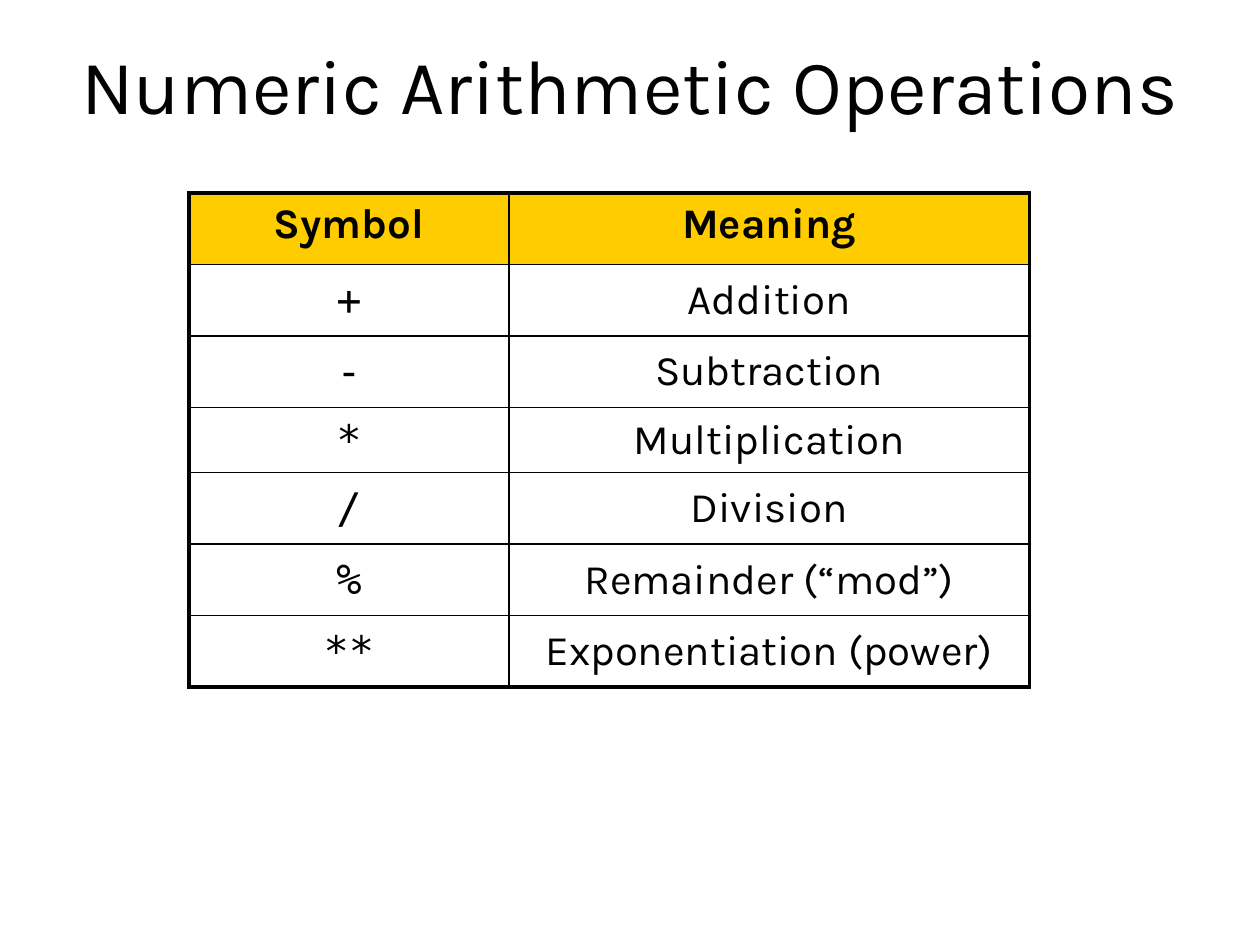
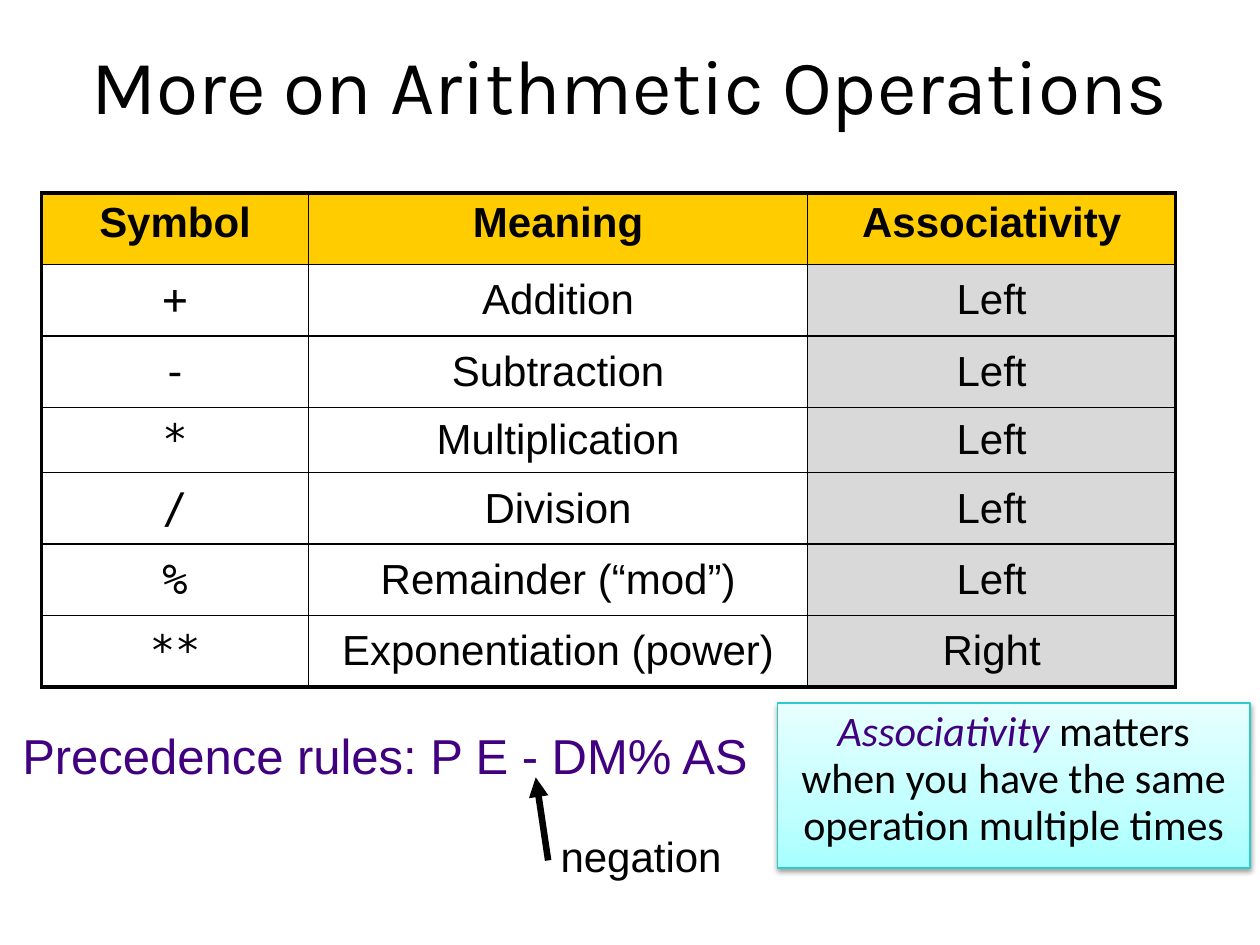
from pptx import Presentation
from pptx.dml.color import RGBColor
from pptx.enum import shapes, text
from pptx.oxml import ns
from pptx.util import Cm, Pt
from lxml import etree

INK = "020202"
PURPLE = "400080"
HEADER_FILL = "FFCC00"
SHADED_FILL = "D9D9D9"
CALLOUT_LINE = "2ECBCB"
CALLOUT_STOPS = [(0, "A7FFFF"), (35, "C1FFFF"), (100, "E7FFFF")]
SYMBOL_FONT = "DejaVu Sans Mono"
TABLE_TOP = 3.89
ROW_HEIGHTS = [1.44, 1.44, 1.44, 1.32, 1.44, 1.44, 1.44]
OUTER_BORDER, INNER_BORDER = 2.25, 1

OPERATIONS = [
    ("Symbol", "Meaning", "Associativity"),
    ("+", "Addition", "Left"),
    ("-", "Subtraction", "Left"),
    ("*", "Multiplication", "Left"),
    ("/", "Division", "Left"),
    ("%", "Remainder (“mod”)", "Left"),
    ("**", "Exponentiation (power)", "Right"),
]


def rgb(color):
    return RGBColor.from_string(color)


def add_element(parent, tag, **attributes):
    element = etree.SubElement(parent, ns.qn(tag))
    for name, value in attributes.items():
        element.set(name, str(value))
    return element


def style_run(run, font_name, size, color=INK, bold=False, italic=False):
    run.font.name = font_name
    run.font.size = Pt(size)
    run.font.color.rgb = rgb(color)
    run.font.bold = bold
    run.font.italic = italic


def add_titled_slide(presentation, title):
    slide = presentation.slides.add_slide(presentation.slide_layouts[5])
    shape = slide.shapes.title
    shape.left, shape.top, shape.width, shape.height = Cm(0.64), Cm(0.2), Cm(24.13), Cm(2.95)
    shape.text_frame.text = title
    shape.text_frame.vertical_anchor = text.MSO_ANCHOR.MIDDLE
    paragraph = shape.text_frame.paragraphs[0]
    paragraph.alignment = text.PP_ALIGN.CENTER
    paragraph.line_spacing = 1.02
    style_run(paragraph.runs[0], "Karla", 44)
    return slide


def set_borders(cell, widths):
    properties = cell._tc.get_or_add_tcPr()
    for side, width in zip("LRTB", widths):
        line = add_element(properties, f"a:ln{side}", w=Pt(width))
        add_element(add_element(line, "a:solidFill"), "a:srgbClr", val=INK)


def border_width(is_outer):
    return OUTER_BORDER if is_outer else INNER_BORDER


def add_operations_table(slide, left, column_widths, font_name, line_spacing):
    row_count, column_count = len(OPERATIONS), len(column_widths)
    table = slide.shapes.add_table(
        row_count, column_count, Cm(left), Cm(TABLE_TOP),
        Cm(sum(column_widths)), Cm(sum(ROW_HEIGHTS))).table
    table.first_row = table.horz_banding = False
    for column, width in zip(table.columns, column_widths):
        column.width = Cm(width)
    for row_index, (row, height) in enumerate(zip(table.rows, ROW_HEIGHTS)):
        row.height = Cm(height)
        is_header = row_index == 0
        for column_index, cell in enumerate(row.cells):
            set_borders(cell, [border_width(is_outer) for is_outer in (
                column_index == 0, column_index == column_count - 1,
                is_header, row_index == row_count - 1)])
            fill = HEADER_FILL if is_header else SHADED_FILL if column_index == 2 else None
            if fill:
                cell.fill.solid()
                cell.fill.fore_color.rgb = rgb(fill)
            else:
                cell.fill.background()
            cell.vertical_anchor = text.MSO_ANCHOR.TOP if is_header else text.MSO_ANCHOR.MIDDLE
            cell.text_frame.text = OPERATIONS[row_index][column_index]
            paragraph = cell.text_frame.paragraphs[0]
            paragraph.alignment = text.PP_ALIGN.CENTER
            paragraph.line_spacing = line_spacing
            is_symbol = column_index == 0 and not is_header
            style_run(paragraph.runs[0], SYMBOL_FONT if is_symbol else font_name, 24, bold=is_header)


def add_label(slide, wording, left, top, width, height, size, color):
    label = slide.shapes.add_textbox(Cm(left), Cm(top), Cm(width), Cm(height))
    label.text_frame.text = wording
    label.text_frame.word_wrap = False
    label.text_frame.auto_size = text.MSO_AUTO_SIZE.SHAPE_TO_FIT_TEXT
    paragraph = label.text_frame.paragraphs[0]
    paragraph.line_spacing = 0.93
    style_run(paragraph.runs[0], "Arial", size, color)
    return label


def add_arrow_from(slide, label, end_x, end_y):
    arrow = slide.shapes.add_connector(
        shapes.MSO_CONNECTOR.STRAIGHT, label.left, label.top, Cm(end_x), Cm(end_y))
    arrow.begin_connect(label, 1)
    arrow.line.color.rgb = rgb(INK)
    arrow.line.width = Pt(3.75)
    add_element(arrow.line._get_or_add_ln(), "a:tailEnd", type="triangle")
    add_element(arrow._element.spPr, "a:effectLst")


def set_gradient(shape, stops, angle):
    shape.fill.gradient()
    shape.fill.gradient_angle = angle
    stop_list = shape._element.spPr.find(ns.qn("a:gradFill")).find(ns.qn("a:gsLst"))
    for stop in list(stop_list):
        stop_list.remove(stop)
    for position, color in stops:
        stop = add_element(stop_list, "a:gs", pos=position * 1000)
        add_element(stop, "a:srgbClr", val=color)


def set_shadow(shape):
    shape.shadow.inherit = False
    effects = shape._element.spPr.find(ns.qn("a:effectLst"))
    shadow = add_element(effects, "a:outerShdw", blurRad=Pt(3.1), dist=Pt(1.6),
                         dir=90 * 60000, rotWithShape=0)
    add_element(add_element(shadow, "a:srgbClr", val="000000"), "a:alpha", val=38000)


def add_callout(slide, term, explanation):
    callout = slide.shapes.add_shape(
        shapes.MSO_SHAPE.RECTANGLE, Cm(15.67), Cm(14.17), Cm(9.53), Cm(3.33))
    set_gradient(callout, CALLOUT_STOPS, 90)
    callout.line.color.rgb = rgb(CALLOUT_LINE)
    callout.line.width = Pt(0.75)
    set_shadow(callout)
    frame = callout.text_frame
    frame.word_wrap = True
    frame.vertical_anchor = text.MSO_ANCHOR.TOP
    paragraph = frame.paragraphs[0]
    paragraph.alignment = text.PP_ALIGN.CENTER
    paragraph.line_spacing = 0.93
    for wording, color, italic in ((term, PURPLE, True), (explanation, INK, False)):
        run = paragraph.add_run()
        run.text = wording
        style_run(run, "Calibri", 24, color, italic=italic)


def main():
    presentation = Presentation()
    presentation.slide_width, presentation.slide_height = Cm(25.4), Cm(19.05)

    slide = add_titled_slide(presentation, "Numeric Arithmetic Operations")
    add_operations_table(slide, 3.81, [6.45, 10.49], "Karla", 1.02)

    slide = add_titled_slide(presentation, "More on Arithmetic Operations")
    add_operations_table(slide, 0.84, [5.38, 10.06, 7.42], "Arial", 1)
    add_label(slide, "Precedence rules: P E - DM% AS", 0.2, 14.6, 15.21, 1.45, 28, PURPLE)
    negation = add_label(slide, "negation", 11.05, 16.71, 3.76, 1.27, 24, INK)
    add_arrow_from(slide, negation, 10.8, 15.67)
    add_callout(slide, "Associativity", " matters when you have the same operation multiple times")

    presentation.save("out.pptx")


if __name__ == "__main__":
    main()
